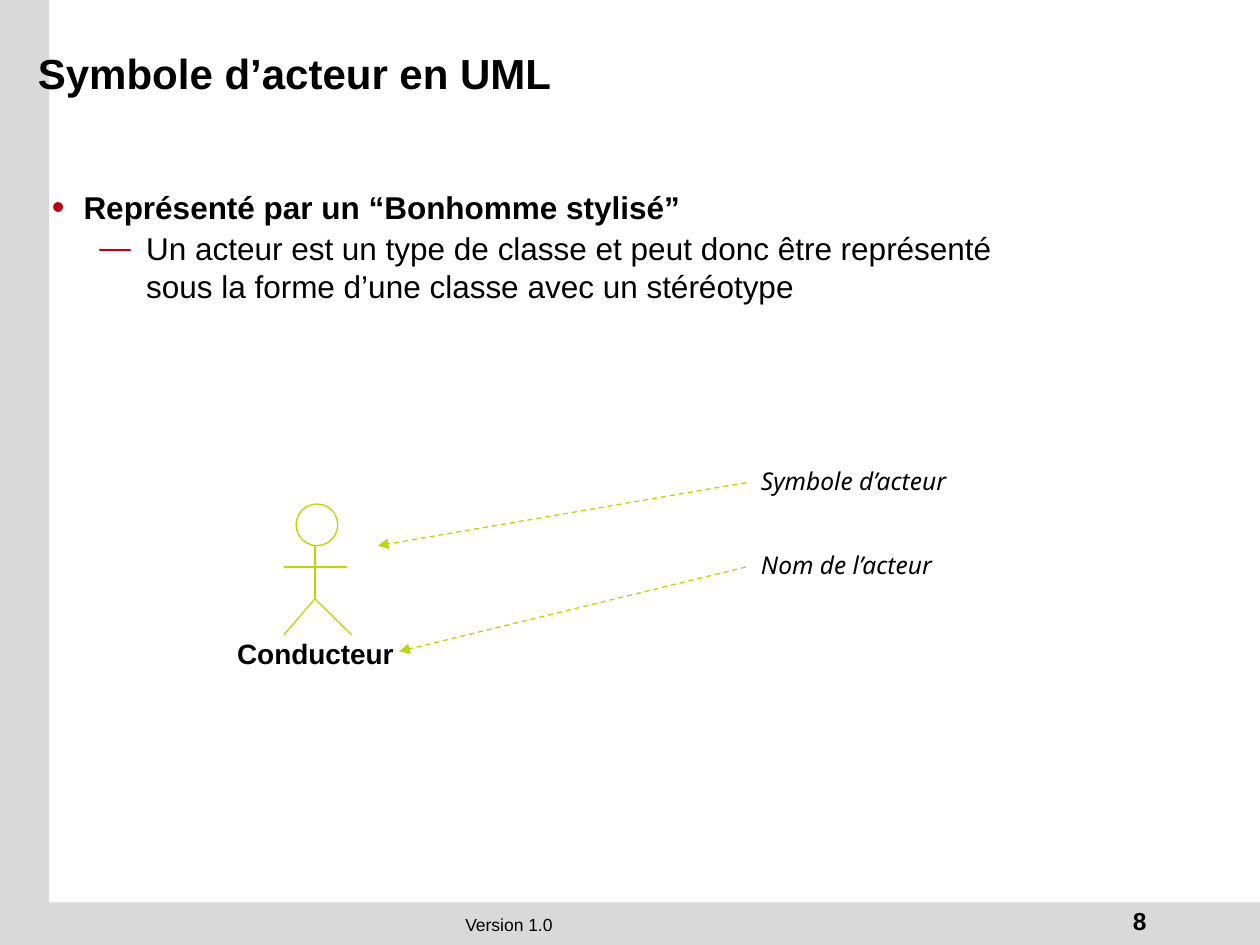
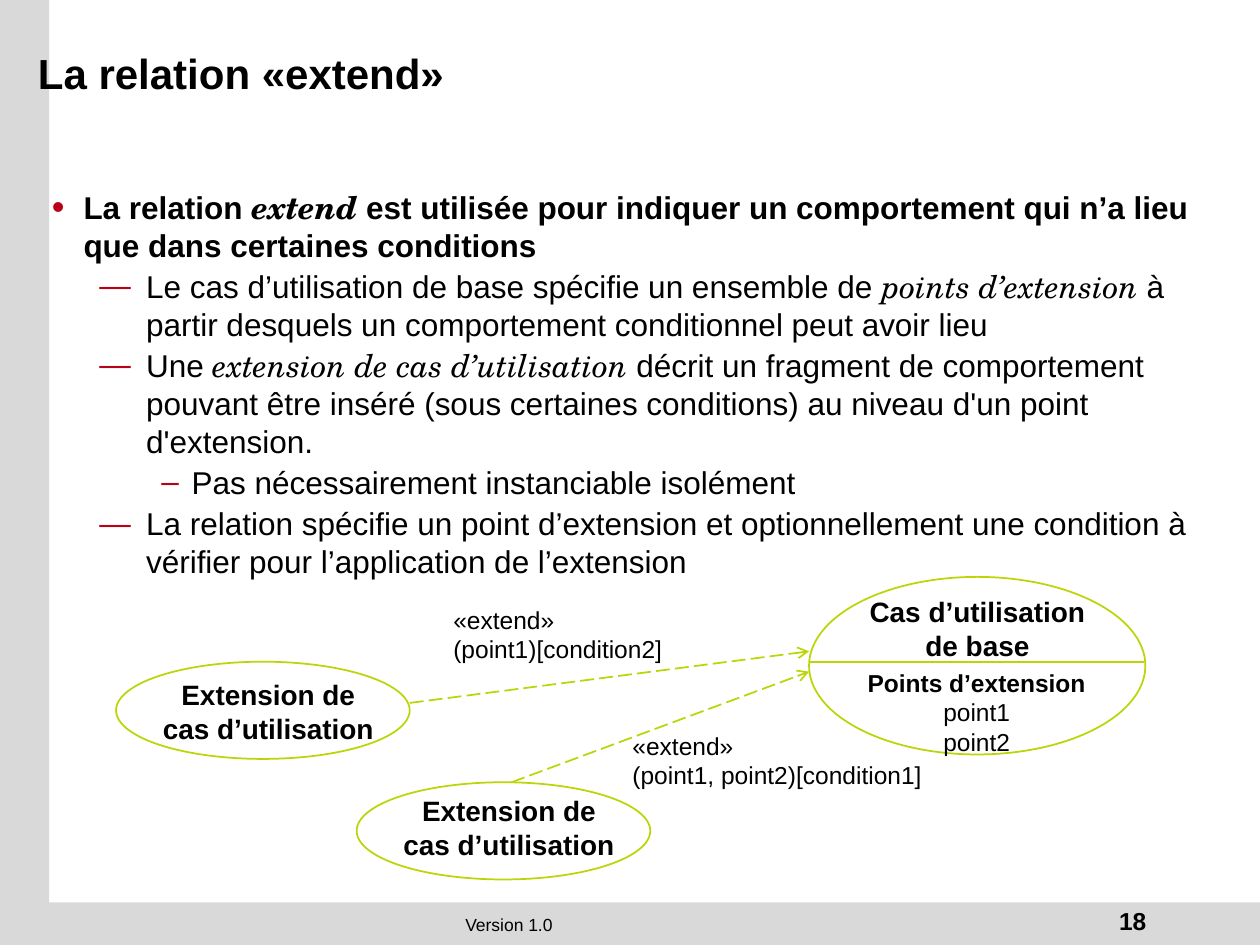
from lxml.etree import SubElement
from pptx import Presentation
from pptx.dml.color import RGBColor as RGB
from pptx.enum.dml import MSO_LINE as DASH
from pptx.enum.shapes import MSO_CONNECTOR as CONN, MSO_SHAPE as SHAPE
from pptx.enum.text import MSO_ANCHOR as ANCHOR, MSO_AUTO_SIZE as AUTO, PP_ALIGN as ALIGN
from pptx.oxml.ns import qn
from pptx.util import Cm, Pt

# --- Content: a plain string is one run, a list holds (text, font) runs ---
VERSION = "Version 1.0"
ACTOR = {
    "number": "8",
    "title": "Symbole d’acteur en UML",
    "body_height": 2.62,
    "body": [
        (0, "Représenté par un “Bonhomme stylisé”"),
        (1, "Un acteur est un type de classe et peut donc être représenté\n"
            "sous la forme d’une classe avec un stéréotype"),
    ],
}
EXTEND = {
    "number": "18",
    "title": "La relation «extend»",
    "body_height": 8.18,
    "body": [
        (0, ["La relation ", ("extend", "term"),
             " est utilisée pour indiquer un comportement qui n’a lieu que dans "
             "certaines conditions"]),
        (1, ["Le cas d’utilisation de base spécifie un ensemble de ",
             ("points d’extension ", "term"),
             "à partir desquels un comportement conditionnel peut avoir lieu"]),
        (1, ["Une ", ("extension de cas d’utilisation", "term"),
             " décrit un fragment de comportement pouvant être inséré (sous certaines "
             "conditions) au niveau d'un point d'extension."]),
        (2, "Pas nécessairement instanciable isolément"),
        (1, "La relation spécifie un point d’extension et optionnellement une condition "
            "à vérifier pour l’application de l’extension"),
    ],
}
ACTOR_NAME = "Conducteur"
CALLOUTS = ["Symbole d’acteur", "Nom de l’acteur"]
BASE_CASE = "Cas d’utilisation\nde base"
EXTENSION = "Extension de cas d’utilisation"
POINTS_TITLE, POINTS = "Points d’extension", ["point1", "point2"]
CONDITIONS = [  # label lines, label box, arrow start, arrow end
    (["«extend»", "(point1)[condition2]"], (8.89, 12.07, 4.95, 1.42),
     (8.26, 14.17), (16.31, 13.13)),
    (["«extend»", "(point1, point2)[condition1]"], (12.5, 14.61, 6.99, 1.47),
     (10.31, 15.77), (16.31, 13.54)),
]
EXTENSION_CASES = [  # ellipse corner, text corner
    ((2.34, 13.34), (2.97, 13.54)),
    ((7.19, 15.77), (7.82, 15.88)),
]


# --- Theme ---
class Theme:
    width, height = 25.4, 19.05
    band = RGB(0xD9, 0xD9, 0xD9)
    line = RGB(0xBC, 0xD5, 0x07)
    white = RGB(0xFF, 0xFF, 0xFF)
    black = RGB(0, 0, 0)
    bullet = "B90117"
    font, term_font, callout_font = "Arial", "TeX Gyre Schola", "Noto Sans"
    title = {"size": Pt(24), "bold": True}
    body = {"size": Pt(18), "bold": False}
    name = {"size": Pt(16), "bold": True}
    label = {"size": Pt(14), "bold": False}
    strong = {"size": Pt(14), "bold": True}
    callout = {"size": Pt(14), "italic": True, "name": callout_font}
    footer = {"size": Pt(10)}
    term = {"name": term_font, "italic": True}
    # level: character, size in %, left margin, hanging indent, space before
    levels = [("•", 115, 0.64, 0.64, 14), ("—", 100, 1.9, 0.94, 2), ("–", 100, 2.82, 0.61, 2)]


# --- Helpers ---
def lengths(*values):
    return [Cm(v) for v in values]


def add_runs(p, runs, fmt):
    for item in [runs] if isinstance(runs, str) else runs:
        text, extra = (item, {}) if isinstance(item, str) else (item[0], Theme.term)
        for i, line in enumerate(text.split("\n")):
            if i:
                p.add_line_break()
            r = p.add_run()
            r.text = line
            for key, value in {"name": Theme.font, **fmt, **extra}.items():
                setattr(r.font, key, value)
            r.font.color.rgb = Theme.black


def paragraphs(tf, count):
    return [tf.paragraphs[0]] + [tf.add_paragraph() for _ in range(count - 1)]


def add_text(s, box, lines, fmt, align=ALIGN.LEFT, gap=0):
    """Each line is a string in the given format or a (string, format) pair."""
    tf = s.shapes.add_textbox(*lengths(*box)).text_frame
    tf.word_wrap = True
    for i, (p, line) in enumerate(zip(paragraphs(tf, len(lines)), lines)):
        text, line_fmt = (line, fmt) if isinstance(line, str) else line
        p.alignment = align
        if i and gap:
            p.space_before = Pt(gap)
        add_runs(p, text, line_fmt)


def add_shape(shapes, kind, box, fill=None, width=None):
    sp = shapes.add_shape(kind, *lengths(*box))
    sp.shadow.inherit = False
    if fill is None:
        sp.fill.background()
    else:
        sp.fill.solid()
        sp.fill.fore_color.rgb = fill
    if width is None:
        sp.line.fill.background()
    else:
        sp.line.color.rgb, sp.line.width = Theme.line, Pt(width)
    return sp


def add_line(shapes, start, end, width, dash=None, head=None):
    c = shapes.add_connector(CONN.STRAIGHT, *lengths(*start, *end))
    c.line.color.rgb, c.line.width = Theme.line, Pt(width)
    if dash:
        c.line.dash_style = dash
    if head:
        SubElement(c.line._get_or_add_ln(), qn("a:tailEnd"), type=head)
    SubElement(c.element.spPr, qn("a:effectLst"))


def set_bullet(p, level):
    char, size, margin, hang, before = Theme.levels[level]
    p.level = level
    pPr = p._p.get_or_add_pPr()
    pPr.set("marL", str(Cm(margin)))
    pPr.set("indent", str(-Cm(hang)))
    SubElement(SubElement(pPr, qn("a:buClr")), qn("a:srgbClr"), val=Theme.bullet)
    SubElement(pPr, qn("a:buSzPct"), val=str(size * 1000))
    SubElement(pPr, qn("a:buFont"), typeface=Theme.font)
    SubElement(pPr, qn("a:buChar"), char=char)
    return before


def fill_placeholder(ph, box, anchor):
    ph.left, ph.top, ph.width, ph.height = lengths(*box)
    tf = ph.text_frame
    tf.word_wrap, tf.auto_size, tf.vertical_anchor = True, AUTO.NONE, anchor
    return tf


# --- Shared parts ---
def decorate_layout(s):
    """Draw bands and version text, then hand them to the layout."""
    count = len(s.shapes)
    add_shape(s.shapes, SHAPE.RECTANGLE, (0, 0, 0.99, Theme.height), Theme.band)
    add_shape(s.shapes, SHAPE.RECTANGLE, (0, 18.19, Theme.width, 0.86), Theme.band)
    add_text(s, (0.28, 18.31, 19.96, 0.69), [VERSION], Theme.footer, ALIGN.CENTER)
    for sp in list(s.shapes)[count:]:
        s.slide_layout.shapes.element.append(sp.element)


def start_slide(prs, content):
    s = prs.slides.add_slide(prs.slide_layouts[1])
    if len(prs.slides) == 1:
        decorate_layout(s)
    tf = fill_placeholder(s.shapes.title, (0.51, 0.46, 21.64, 2.01), ANCHOR.MIDDLE)
    tf.paragraphs[0].alignment = ALIGN.LEFT
    add_runs(tf.paragraphs[0], content["title"], Theme.title)

    tf = fill_placeholder(s.placeholders[1], (0.79, 3.66, 23.88, content["body_height"]),
                          ANCHOR.TOP)
    body = content["body"]
    for i, (p, (level, runs)) in enumerate(zip(paragraphs(tf, len(body)), body)):
        before = set_bullet(p, level)
        p.space_before = Pt(before if i else 0)
        add_runs(p, runs, {**Theme.body, "bold": level == 0})
    add_text(s, (19.35, 18.14, 4.01, 0.84), [content["number"]], Theme.strong, ALIGN.RIGHT)
    return s


# --- Slides ---
def actor_slide(prs):
    s = start_slide(prs, ACTOR)

    # Stick figure
    figure = s.shapes.add_group_shape().shapes
    neck, hip = (6.35, 11), (6.35, 12.07)
    add_shape(figure, SHAPE.OVAL, (5.97, 10.16, 0.84, 0.84), Theme.white, 0.75)
    for start, end in [(neck, hip), ((5.72, 11.43), (6.99, 11.43)),
                       (hip, (5.72, 12.8)), (hip, (7.09, 12.8))]:
        add_line(figure, start, end, 0.75)
    add_text(s, (4.24, 12.7, 4.24, 0.79), [ACTOR_NAME], Theme.name, ALIGN.CENTER)

    # Callouts
    add_text(s, (15.09, 9.27, 5, 3), CALLOUTS, Theme.callout, gap=31)
    for start, end in [((15.04, 9.73), (7.62, 11)), ((15.04, 11.43), (8.05, 13.13))]:
        add_line(s.shapes, start, end, 0.75, DASH.DASH, "triangle")


def extend_slide(prs):
    s = start_slide(prs, EXTEND)

    # Base use case with its extension points
    add_shape(s.shapes, SHAPE.OVAL, (16.31, 11.63, 6.78, 3.58), width=1)
    add_line(s.shapes, (23.06, 13.34), (16.31, 13.34), 1)
    add_text(s, (17.15, 11.86, 5.11, 1.47), [BASE_CASE], Theme.name, ALIGN.CENTER)
    add_text(s, (17.15, 13.34, 5.08, 2.06), [(POINTS_TITLE, Theme.strong), *POINTS],
             Theme.label, ALIGN.CENTER)

    # Extending use cases
    for ellipse, text in EXTENSION_CASES:
        add_shape(s.shapes, SHAPE.OVAL, (*ellipse, 5.92, 1.96), width=1)
        add_text(s, (*text, 4.88, 1.45), [EXTENSION], Theme.name, ALIGN.CENTER)

    # Conditional relations
    for lines, box, start, end in CONDITIONS:
        add_line(s.shapes, start, end, 1, DASH.LONG_DASH, "arrow")
        add_text(s, box, lines, Theme.label)


def main():
    prs = Presentation()
    prs.slide_width, prs.slide_height = lengths(Theme.width, Theme.height)
    actor_slide(prs)
    extend_slide(prs)
    prs.save("out.pptx")


if __name__ == "__main__":
    main()
